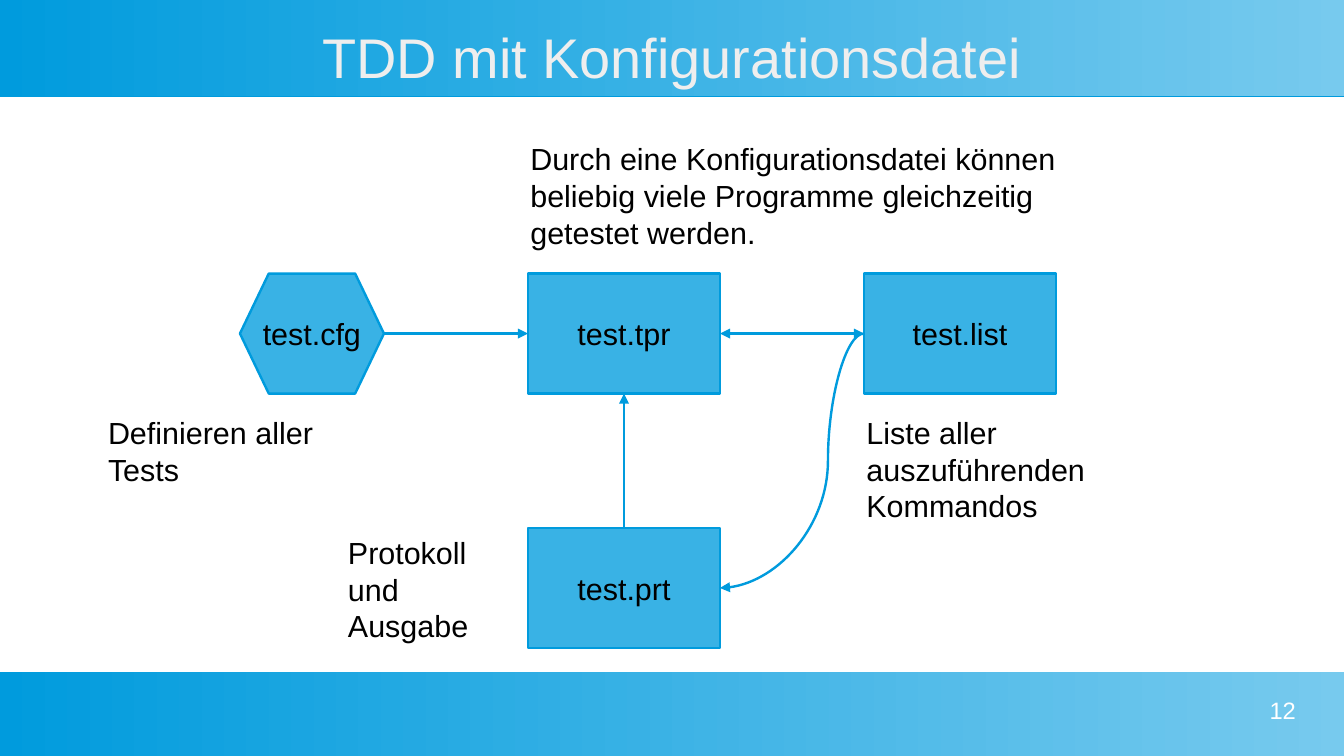
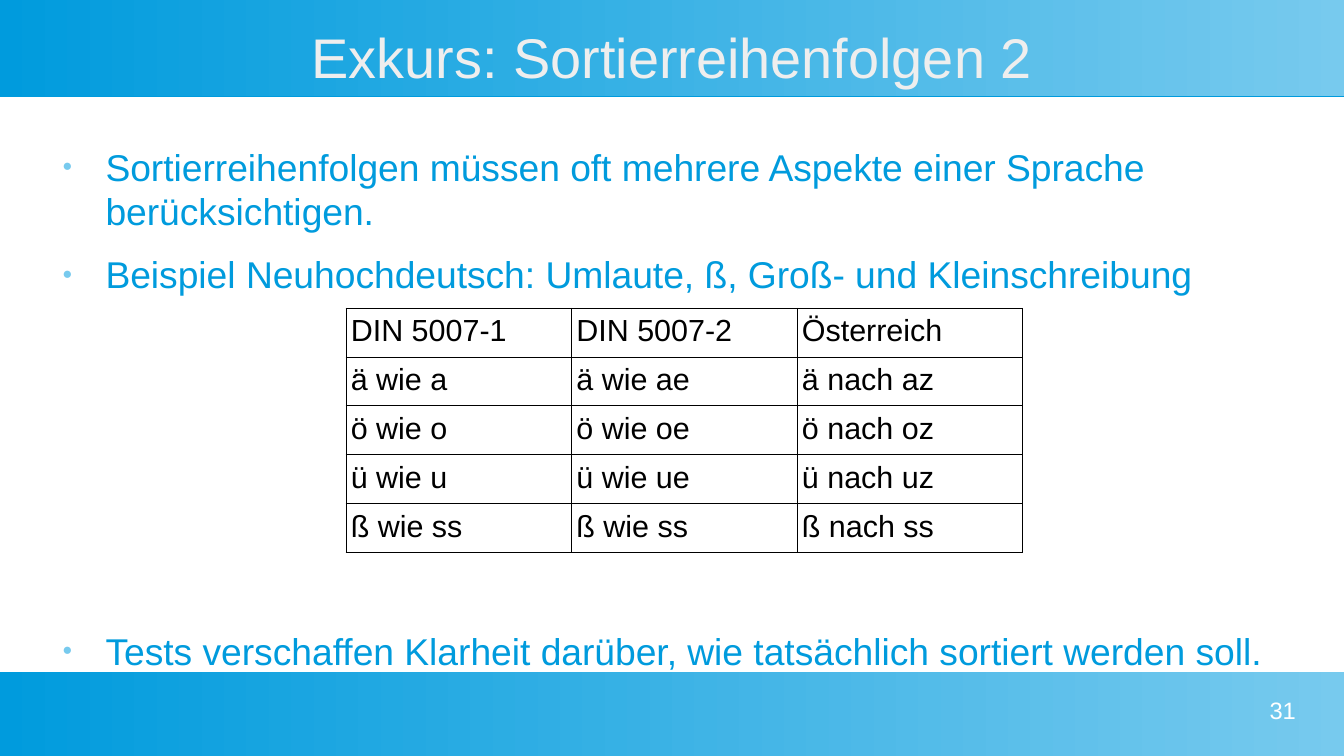
import dataclasses
import typing

import lxml.etree
import pptx
import pptx.dml.color
import pptx.enum.shapes
import pptx.enum.text
import pptx.oxml.ns
import pptx.util

Pt = pptx.util.Pt
RGB = pptx.dml.color.RGBColor
qn = pptx.oxml.ns.qn
Kind = pptx.enum.shapes.MSO_SHAPE
Link = pptx.enum.shapes.MSO_CONNECTOR
Align = pptx.enum.text.PP_ALIGN
Anchor = pptx.enum.text.MSO_ANCHOR


@dataclasses.dataclass(frozen=True)
class Theme:
    font: str = "Arial"
    deep: RGB = RGB(0x00, 0x9B, 0xDD)
    mid: RGB = RGB(0x39, 0xB2, 0xE5)
    pale: RGB = RGB(0x77, 0xCA, 0xEE)
    head: RGB = RGB(0xEE, 0xEE, 0xEE)
    white: RGB = RGB(0xFF, 0xFF, 0xFF)
    black: RGB = RGB(0, 0, 0)
    title: float = 33
    body: float = 22
    label: float = 18
    page: float = 14
    line: float = 1.42
    grid: float = 0.57


THEME = Theme()
WIDTH, HEIGHT = 793.7, 446.46
BOX_W, BOX_H = 113.4, 70.87
TOP_ROW, LOW_ROW = 161.57, 311.81


class Area(typing.NamedTuple):
    left: float
    top: float
    width: float
    height: float

    def lengths(self) -> list:
        return [Pt(value) for value in self]


@dataclasses.dataclass(frozen=True)
class Node:
    text: str
    kind: Kind
    area: Area


@dataclasses.dataclass(frozen=True)
class Note:
    text: str
    area: Area


@dataclasses.dataclass(frozen=True)
class Arrow:
    start: str
    side: int
    end: str
    goal: int
    both: bool = False
    bend: int = 0


@dataclasses.dataclass(frozen=True)
class Bullet:
    text: str
    gap: float


# Connection sites, counted anticlockwise from the top
TOP, LEFT, BOTTOM, RIGHT = range(4)

BANDS = (Area(0, 0, WIDTH, 56.7), Area(0, 396.85, WIDTH, HEIGHT - 396.85))

NODES = (
    Node("test.tpr", Kind.FLOWCHART_PROCESS, Area(311.81, TOP_ROW, BOX_W, BOX_H)),
    Node("test.cfg", Kind.FLOWCHART_PREPARATION, Area(141.73, TOP_ROW, 85.04, BOX_H)),
    Node("test.list", Kind.FLOWCHART_PROCESS, Area(510.24, TOP_ROW, BOX_W, BOX_H)),
    Node("test.prt", Kind.FLOWCHART_PROCESS, Area(311.81, LOW_ROW, BOX_W, BOX_H)),
)
NOTES = (
    Note("Definieren aller Tests", Area(56.7, 241, 141.7, 47.5)),
    Note("Liste aller auszuführenden Kommandos", Area(504.6, 241, 170, 67.7)),
    Note("Protokoll und Ausgabe", Area(198.4, LOW_ROW, BOX_W, BOX_H)),
    Note("Durch eine Konfigurationsdatei können beliebig viele Programme "
         "gleichzeitig getestet werden.", Area(306.1, 79.4, 368.5, 67.7)),
)
ARROWS = (
    Arrow("test.cfg", RIGHT, "test.tpr", LEFT),
    Arrow("test.tpr", RIGHT, "test.list", LEFT, both=True),
    Arrow("test.list", LEFT, "test.prt", RIGHT, bend=25000),
    Arrow("test.prt", TOP, "test.tpr", BOTTOM),
)
BULLETS = (
    Bullet("Sortierreihenfolgen müssen oft mehrere Aspekte einer Sprache "
           "berücksichtigen.", 0),
    Bullet("Beispiel Neuhochdeutsch: Umlaute, ß, Groß- und Kleinschreibung", 10.6),
    Bullet("Tests verschaffen Klarheit darüber, wie tatsächlich sortiert "
           "werden soll.", 196),
)
ORDERS = (
    ("DIN 5007-1", "DIN 5007-2", "Österreich"),
    ("ä wie a", "ä wie ae", "ä nach az"),
    ("ö wie o", "ö wie oe", "ö nach oz"),
    ("ü wie u", "ü wie ue", "ü nach uz"),
    ("ß wie ss", "ß wie ss", "ß nach ss"),
)


def add_tag(parent: typing.Any, tag: str, /, **values: object) -> typing.Any:
    """Append a drawing element with the given attributes."""
    return lxml.etree.SubElement(
        parent, qn(tag), {key: str(value) for key, value in values.items()})


def style(para: typing.Any, size: float, color: RGB, align: Align = Align.LEFT) -> None:
    para.alignment = align
    for run in para.runs:
        run.font.name = THEME.font
        run.font.size = Pt(size)
        run.font.color.rgb = color


def set_pad(frame: typing.Any, side: float, edge: float) -> None:
    frame.margin_left = frame.margin_right = Pt(side)
    frame.margin_top = frame.margin_bottom = Pt(edge)


def add_text(slide: typing.Any, text: str, area: Area, size: float, color: RGB,
             align: Align = Align.LEFT, anchor: Anchor = Anchor.TOP,
             pad: tuple[float, float] = (0, 0)) -> typing.Any:
    frame = slide.shapes.add_textbox(*area.lengths()).text_frame
    frame.word_wrap = True
    frame.vertical_anchor = anchor
    set_pad(frame, *pad)
    frame.text = text
    style(frame.paragraphs[0], size, color, align)
    return frame


# Shared frame: bands, title, page number
def add_band(slide: typing.Any, area: Area) -> None:
    band = slide.shapes.add_shape(Kind.RECTANGLE, *area.lengths())
    band.line.fill.background()
    band.fill.gradient()
    band.fill.gradient_angle = 0
    for stop, color in zip(band.fill.gradient_stops, (THEME.deep, THEME.pale)):
        stop.color.rgb = color
    band.shadow.inherit = False
    effects = band.element.spPr.find(qn("a:effectLst"))
    shade = add_tag(effects, "a:outerShdw", dist=int(Pt(0.9)), dir=90 * 60000,
                    algn="tl", rotWithShape=0)
    add_tag(shade, "a:srgbClr", val=THEME.deep)


def add_slide(deck: typing.Any, title: str, page: int) -> typing.Any:
    slide = deck.slides.add_slide(deck.slide_layouts[6])
    for area in BANDS:
        add_band(slide, area)
    add_text(slide, title, Area(28.35, 14.2, 737, 37.4), THEME.title, THEME.head,
             Align.CENTER, Anchor.MIDDLE)
    add_text(slide, str(page), Area(581.1, 411, 184.25, 28), THEME.page,
             THEME.white, Align.RIGHT)
    return slide


# Flow chart parts
def add_node(slide: typing.Any, node: Node) -> typing.Any:
    shape = slide.shapes.add_shape(node.kind, *node.area.lengths())
    shape.shadow.inherit = False
    shape.fill.solid()
    shape.fill.fore_color.rgb = THEME.mid
    shape.line.color.rgb = THEME.deep
    shape.line.width = Pt(THEME.line)
    frame = shape.text_frame
    frame.word_wrap = False
    frame.vertical_anchor = Anchor.MIDDLE
    set_pad(frame, 7.2, 3.6)
    frame.text = node.text
    style(frame.paragraphs[0], THEME.label, THEME.black, Align.CENTER)
    return shape


def add_arrow(slide: typing.Any, arrow: Arrow, nodes: dict[str, typing.Any]) -> None:
    kind = Link.CURVE if arrow.bend else Link.STRAIGHT
    link = slide.shapes.add_connector(kind, 0, 0, 0, 0)
    link.begin_connect(nodes[arrow.start], arrow.side)
    link.end_connect(nodes[arrow.end], arrow.goal)
    link.line.color.rgb = THEME.deep
    link.line.width = Pt(THEME.line)
    props = link.element.spPr
    stroke = props.find(qn("a:ln"))
    if arrow.both:
        add_tag(stroke, "a:headEnd", type="triangle")
    add_tag(stroke, "a:tailEnd", type="triangle")
    add_tag(props, "a:effectLst")
    if arrow.bend:
        guides = props.find(qn("a:prstGeom")).get_or_add_avLst()
        add_tag(guides, "a:gd", name="adj1", fmla=f"val {arrow.bend}")


def draw_flow(deck: typing.Any) -> None:
    slide = add_slide(deck, "TDD mit Konfigurationsdatei", 12)
    nodes = {node.text: add_node(slide, node) for node in NODES}
    for note in NOTES:
        add_text(slide, note.text, note.area, THEME.label, THEME.black, pad=(7.2, 3.6))
    for arrow in ARROWS:
        add_arrow(slide, arrow, nodes)


# Bullets and table
def set_mark(para: typing.Any) -> None:
    props = para._p.get_or_add_pPr()
    props.set("marL", str(int(Pt(34))))
    props.set("indent", str(int(Pt(-25.5))))
    add_tag(add_tag(props, "a:buClr"), "a:srgbClr", val=THEME.pale)
    add_tag(props, "a:buSzPct", val=45000)
    add_tag(props, "a:buFont", typeface=THEME.font)
    add_tag(props, "a:buChar", char="●")


def add_list(slide: typing.Any, area: Area) -> None:
    frame = add_text(slide, "\n".join(item.text for item in BULLETS), area,
                     THEME.body, THEME.deep)
    for para, item in zip(frame.paragraphs, BULLETS):
        set_mark(para)
        para.space_before = Pt(item.gap)
        style(para, THEME.body, THEME.deep)


def set_cell(cell: typing.Any, text: str) -> None:
    set_pad(cell, 2.9, 3.6)
    cell.text_frame.text = text
    style(cell.text_frame.paragraphs[0], THEME.label, THEME.black)
    props = cell._tc.get_or_add_tcPr()
    for side in ("a:lnL", "a:lnR", "a:lnT", "a:lnB"):
        edge = add_tag(props, side, w=int(Pt(THEME.grid)))
        add_tag(add_tag(edge, "a:solidFill"), "a:srgbClr", val=THEME.black)
    cell.fill.background()


def add_grid(slide: typing.Any, area: Area) -> None:
    rows, cols = len(ORDERS), len(ORDERS[0])
    table = slide.shapes.add_table(rows, cols, *area.lengths()).table
    table.first_row = table.horz_banding = False
    for col in table.columns:
        col.width = Pt(area.width / cols)
    for row, texts in zip(table.rows, ORDERS):
        row.height = Pt(area.height / rows)
        for cell, text in zip(row.cells, texts):
            set_cell(cell, text)


def draw_sort(deck: typing.Any) -> None:
    slide = add_slide(deck, "Exkurs: Sortierreihenfolgen 2", 31)
    add_list(slide, Area(28.35, 85, 737, 311))
    add_grid(slide, Area(204.3, 182, 399.6, 136.5))


def main() -> None:
    deck = pptx.Presentation()
    deck.slide_width, deck.slide_height = Pt(WIDTH), Pt(HEIGHT)
    draw_flow(deck)
    draw_sort(deck)
    deck.save("out.pptx")


if __name__ == "__main__":
    main()
